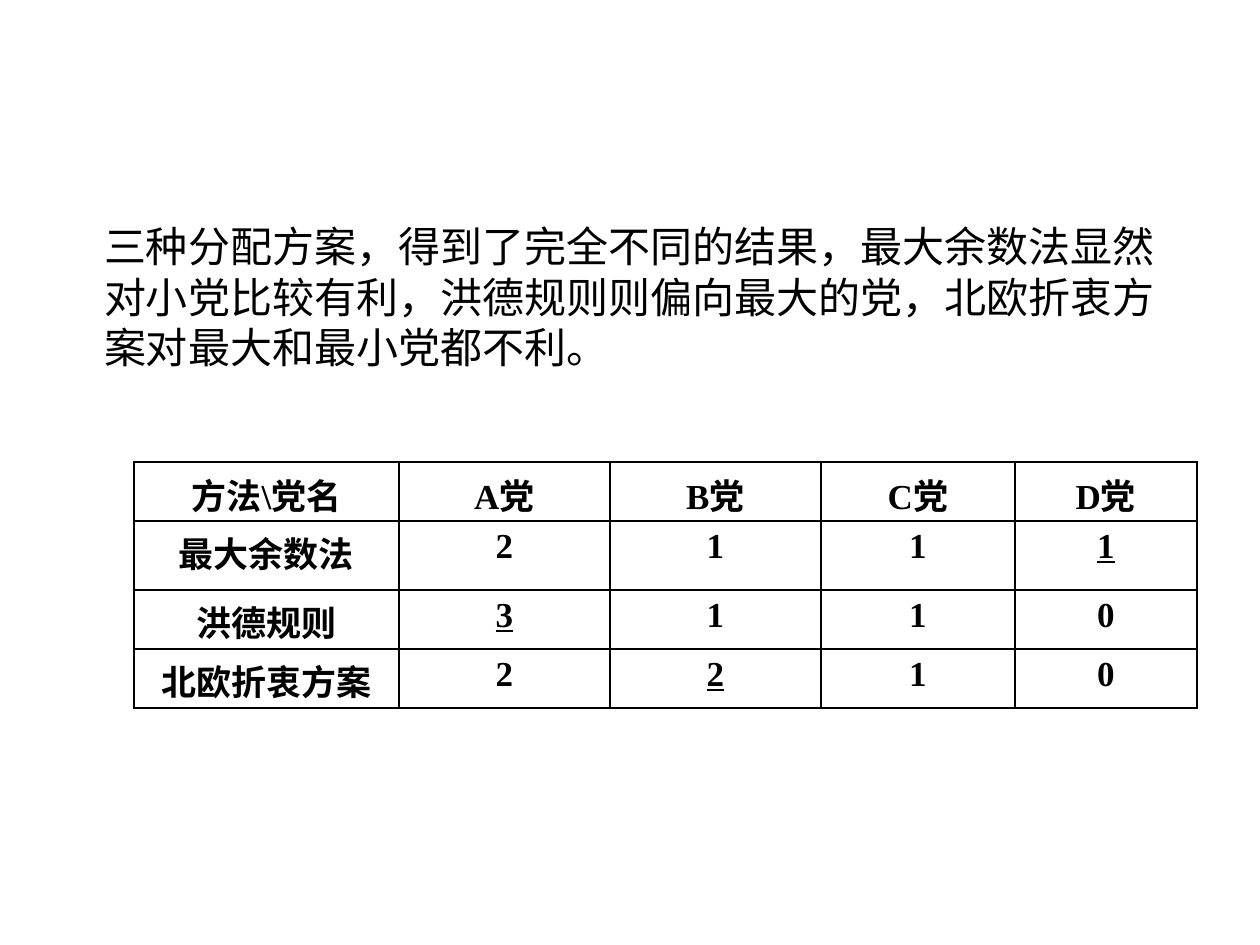
from lxml import etree
from pptx import Presentation
from pptx import util as u
from pptx.dml.color import RGBColor
from pptx.enum import text
from pptx.oxml.ns import qn

PX = 914400 // 126
COLORS = {"ink": "000000", "paper": "FFFFFF"}
SUMMARY = ("三种分配方案，得到了完全不同的结果，最大余数法显然对小党比较有利，"
           "洪德规则则偏向最大的党，北欧折衷方案对最大和最小党都不利。")
SEATS = [
    ["方法\\党名", "A党", "B党", "C党", "D党"],
    ["最大余数法", "2", "1", "1", "1"],
    ["洪德规则", "3", "1", "1", "0"],
    ["北欧折衷方案", "2", "2", "1", "0"],
]
UNDERLINED = {(1, 4), (2, 1), (3, 2)}
COLUMN_WIDTHS = [265, 211, 211, 194, 182]
ROW_HEIGHTS = [59, 69, 59, 59]


def px(length):
    return u.Emu(length * PX)


def add_run(paragraph, wording, font, size, bold=False, underline=False):
    run = paragraph.add_run()
    run.text = wording
    run.font.name = font
    run.font.size = u.Pt(size)
    run.font.bold = bold
    run.font.underline = underline
    run.font.color.rgb = RGBColor.from_string(COLORS["ink"])


def add_summary(slide, left, top, width, height):
    frame = slide.shapes.add_textbox(px(left), px(top), px(width), px(height)).text_frame
    frame.word_wrap = True
    frame.vertical_anchor = text.MSO_ANCHOR.MIDDLE
    frame.margin_left = px(60)
    paragraph = frame.paragraphs[0]
    paragraph.line_spacing = 1.0
    add_run(paragraph, SUMMARY, "Calibri", 24)


def add_borders(cell, points):
    properties = cell._tc.get_or_add_tcPr()
    for position, side in enumerate(("lnL", "lnR", "lnT", "lnB")):
        line = etree.Element(qn(f"a:{side}"), w=str(u.Pt(points)))
        fill = etree.SubElement(line, qn("a:solidFill"))
        etree.SubElement(fill, qn("a:srgbClr"), val=COLORS["ink"])
        properties.insert(position, line)


def add_seat_table(slide, left, top):
    table = slide.shapes.add_table(
        len(SEATS), len(SEATS[0]), px(left), px(top),
        px(sum(COLUMN_WIDTHS)), px(sum(ROW_HEIGHTS))).table
    for column, width in zip(table.columns, COLUMN_WIDTHS):
        column.width = px(width)
    for row, height in zip(table.rows, ROW_HEIGHTS):
        row.height = px(height)
    for r, entries in enumerate(SEATS):
        for c, entry in enumerate(entries):
            cell = table.cell(r, c)
            cell.fill.solid()
            cell.fill.fore_color.rgb = RGBColor.from_string(COLORS["paper"])
            add_borders(cell, 1)
            paragraph = cell.text_frame.paragraphs[0]
            paragraph.alignment = text.PP_ALIGN.CENTER
            add_run(paragraph, entry, "Times New Roman", 20,
                    bold=True, underline=(r, c) in UNDERLINED)


def main():
    deck = Presentation()
    deck.slide_width, deck.slide_height = px(1260), px(945)
    slide = deck.slides.add_slide(deck.slide_layouts[6])
    add_summary(slide, 44, 195, 1143, 203)
    add_seat_table(slide, 134, 462)
    deck.save("out.pptx")


if __name__ == "__main__":
    main()
